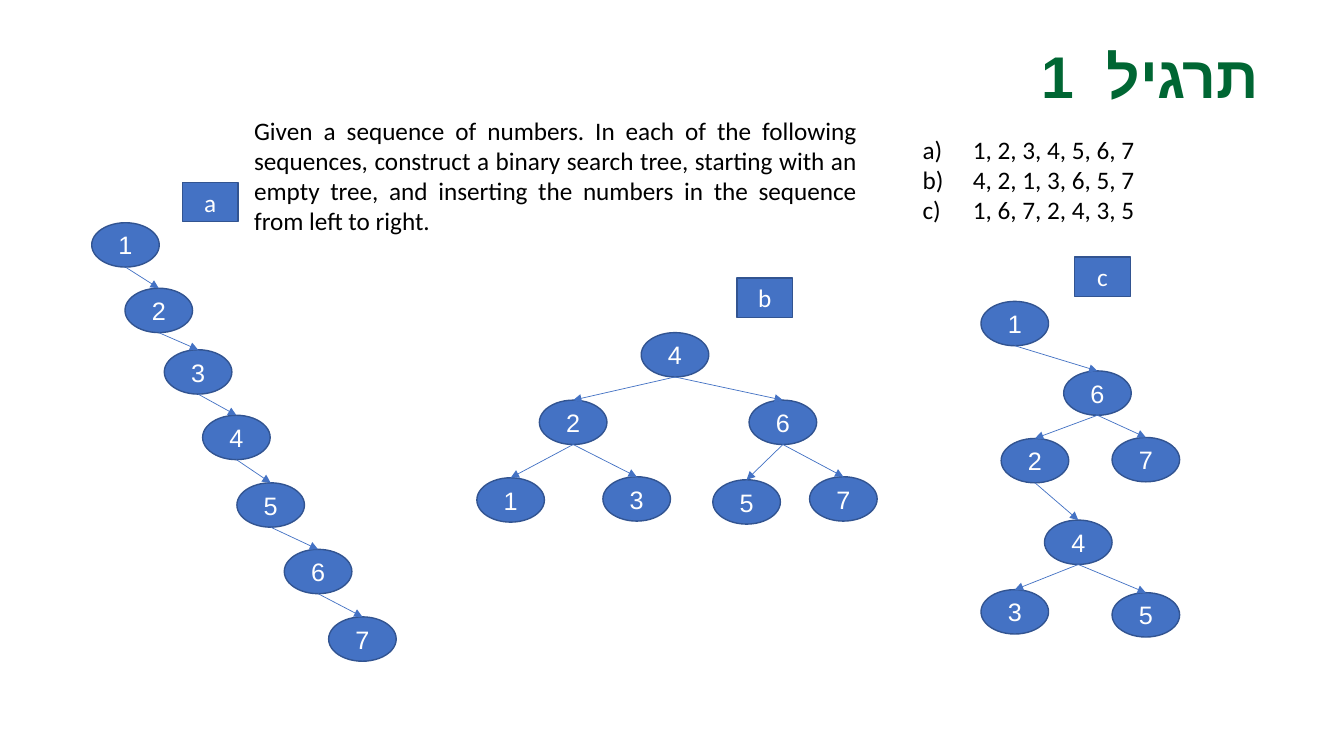
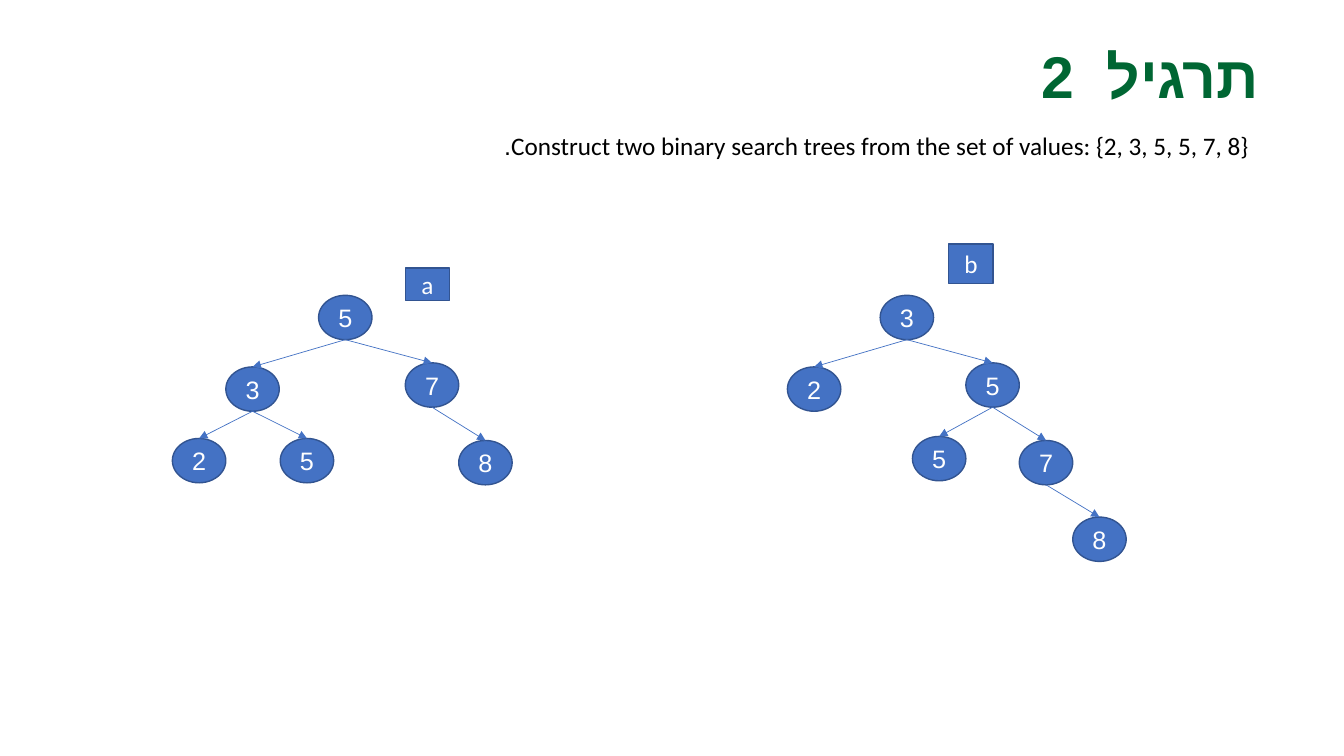
from lxml import etree
from pptx import Presentation
from pptx.dml.color import RGBColor
from pptx.enum.shapes import MSO_CONNECTOR, MSO_SHAPE
from pptx.enum.text import MSO_ANCHOR, MSO_AUTO_SIZE, PP_ALIGN
from pptx.oxml.ns import qn
from pptx.util import Inches, Pt

# Shared style
GREEN = RGBColor(0x00, 0x66, 0x33)
BLUE = RGBColor(0x44, 0x72, 0xC4)
DARK_BLUE = RGBColor(0x32, 0x54, 0x91)
BLACK = RGBColor(0x00, 0x00, 0x00)
WHITE = RGBColor(0xFF, 0xFF, 0xFF)
TITLE_FONT, TEXT_FONT, SCRIPT_FONT = "Times New Roman", "Calibri", "Arial"
TITLE_AREA = (3.59, 0.29, 9, 0.9)
NODE_HEIGHT = 0.44
TWO_CONTENT, TITLE_CONTENT = 3, 1
BOTTOM_SITE = 4

# Nodes in insertion order: value, left, top
CHAIN_TREE = [(1, 0.91, 2.21), (2, 1.24, 2.86), (3, 1.63, 3.47), (4, 2.01, 4.12),
              (5, 2.35, 4.79), (6, 2.82, 5.45), (7, 3.26, 6.12)]
BALANCED_TREE = [(4, 6.36, 3.3), (2, 5.35, 3.97), (1, 4.73, 4.74), (3, 5.98, 4.73),
                 (6, 7.43, 3.97), (5, 7.07, 4.76), (7, 8.03, 4.73)]
MIXED_TREE = [(1, 9.73, 2.99), (6, 10.55, 3.68), (7, 11.03, 4.34), (2, 9.93, 4.35),
              (4, 10.36, 5.16), (3, 9.73, 5.85), (5, 11.03, 5.88)]
ROOT_5_TREE = [(5, 3.16, 2.93), (3, 2.24, 3.64), (7, 4.02, 3.6), (2, 1.71, 4.35),
               (5, 2.78, 4.35), (8, 4.55, 4.37)]
ROOT_3_TREE = [(3, 8.73, 2.93), (2, 7.81, 3.64), (5, 9.58, 3.6), (5, 9.05, 4.33),
               (7, 10.11, 4.37), (8, 10.64, 5.13)]


def place(shape, area):
    shape.left, shape.top, shape.width, shape.height = (Inches(n) for n in area)


def add_span(para, text, size=18, color=BLACK, font=TEXT_FONT, bold=False):
    span = para.add_run()
    span.text = text
    span.font.size, span.font.bold, span.font.name = Pt(size), bold, font
    span.font.color.rgb = color
    script = etree.SubElement(span.font._element, qn("a:cs"))
    script.set("typeface", SCRIPT_FONT)


def set_right_to_left(para):
    para._p.get_or_add_pPr().set("rtl", "1")


def write_title(page, text):
    title = page.shapes.title
    place(title, TITLE_AREA)
    title.text_frame.vertical_anchor = MSO_ANCHOR.MIDDLE
    title.text_frame.auto_size = MSO_AUTO_SIZE.NONE
    para = title.text_frame.paragraphs[0]
    para.alignment = PP_ALIGN.RIGHT
    set_right_to_left(para)
    add_span(para, text, 42, GREEN, TITLE_FONT, True)


def write_body(body, area, lines, align, rtl=False):
    """Fill a body placeholder with plain lines that have one tab stop."""
    place(body, area)
    frame = body.text_frame
    frame.auto_size = MSO_AUTO_SIZE.NONE
    for index, line in enumerate(lines):
        para = frame.add_paragraph() if index else frame.paragraphs[0]
        para.alignment = align
        para.space_before = Pt(0)
        props = para._p.get_or_add_pPr()
        props.set("marL", "0")
        props.set("indent", "0")
        etree.SubElement(props, qn("a:buNone"))
        stops = etree.SubElement(props, qn("a:tabLst"))
        etree.SubElement(stops, qn("a:tab"), pos=str(Inches(1)), algn="l")
        if rtl:
            set_right_to_left(para)
        add_span(para, line)


def add_block(page, kind, text, area):
    """Add a blue shape with centred white text."""
    block = page.shapes.add_shape(kind, *(Inches(n) for n in area))
    block.shadow.inherit = False
    block.fill.solid()
    block.fill.fore_color.rgb = BLUE
    block.line.color.rgb = DARK_BLUE
    block.line.width = Pt(1)
    block.text_frame.vertical_anchor = MSO_ANCHOR.MIDDLE
    para = block.text_frame.paragraphs[0]
    para.alignment = PP_ALIGN.CENTER
    set_right_to_left(para)
    add_span(para, text, color=WHITE)
    return block


def add_arrow(page, parent, child):
    """Join the bottom of a parent to the top of its child."""
    arrow = page.shapes.add_connector(
        MSO_CONNECTOR.STRAIGHT,
        parent.left + parent.width // 2, parent.top + parent.height,
        child.left + child.width // 2, child.top)
    start = etree.SubElement(arrow._element.nvCxnSpPr.cNvCxnSpPr, qn("a:stCxn"))
    start.set("id", str(parent.shape_id))
    start.set("idx", str(BOTTOM_SITE))
    arrow.end_connect(child, 0)
    arrow.line.color.rgb = BLUE
    arrow.line.width = Pt(0.5)
    etree.SubElement(arrow.line._get_or_add_ln(), qn("a:tailEnd"), type="triangle")
    etree.SubElement(arrow._element.spPr, qn("a:effectLst"))


def find_parents(values):
    """Insert values into a search tree, equal ones to the left."""
    children, parents = {}, [None]
    for index in range(1, len(values)):
        current = 0
        while True:
            slot = (current, values[index] > values[current])
            if slot not in children:
                break
            current = children[slot]
        children[slot] = index
        parents.append(current)
    return parents


def add_tree(page, nodes, node_width, label, label_area):
    ovals = [add_block(page, MSO_SHAPE.OVAL, str(value), (left, top, node_width, NODE_HEIGHT))
             for value, left, top in nodes]
    for oval, parent in zip(ovals, find_parents([node[0] for node in nodes])):
        if parent is not None:
            add_arrow(page, ovals[parent], oval)
    add_block(page, MSO_SHAPE.RECTANGLE, label, label_area)


def add_page(deck, layout, title):
    page = deck.slides.add_slide(deck.slide_layouts[layout])
    write_title(page, title)
    return page


def build_sequences_page(deck):
    page = add_page(deck, TWO_CONTENT, "תרגיל  1")
    write_body(page.placeholders[1], (2.42, 1.09, 6.18, 1.92), [
        "Given a sequence of numbers. In each of the following sequences, construct "
        "a binary search tree, starting with an empty tree, and inserting the numbers "
        "in the sequence from left to right."], PP_ALIGN.JUSTIFY)
    write_body(page.placeholders[2], (9.05, 1.28, 3.08, 1.01), [
        "a)\t1, 2, 3, 4, 5, 6, 7",
        "b)\t4, 2, 1, 3, 6, 5, 7",
        "c)\t1, 6, 7, 2, 4, 3, 5"], PP_ALIGN.LEFT)
    add_tree(page, CHAIN_TREE, 0.67, "a", (1.81, 1.81, 0.55, 0.39))
    add_tree(page, BALANCED_TREE, 0.67, "b", (7.31, 2.76, 0.55, 0.39))
    add_tree(page, MIXED_TREE, 0.67, "c", (10.66, 2.55, 0.55, 0.39))


def build_value_set_page(deck):
    page = add_page(deck, TITLE_CONTENT, "תרגיל  2")
    write_body(page.placeholders[1], (3.59, 1.24, 8.9, 0.4), [
        "Construct two binary search trees from the set of values: {2, 3, 5, 5, 7, 8}."],
        PP_ALIGN.RIGHT, rtl=True)
    add_tree(page, ROOT_5_TREE, 0.53, "a", (4.02, 2.66, 0.44, 0.32))
    add_tree(page, ROOT_3_TREE, 0.53, "b", (9.41, 2.42, 0.44, 0.39))


def main():
    deck = Presentation()
    deck.slide_width, deck.slide_height = Inches(13.33), Inches(7.5)
    build_sequences_page(deck)
    build_value_set_page(deck)
    deck.save("out.pptx")


if __name__ == "__main__":
    main()
